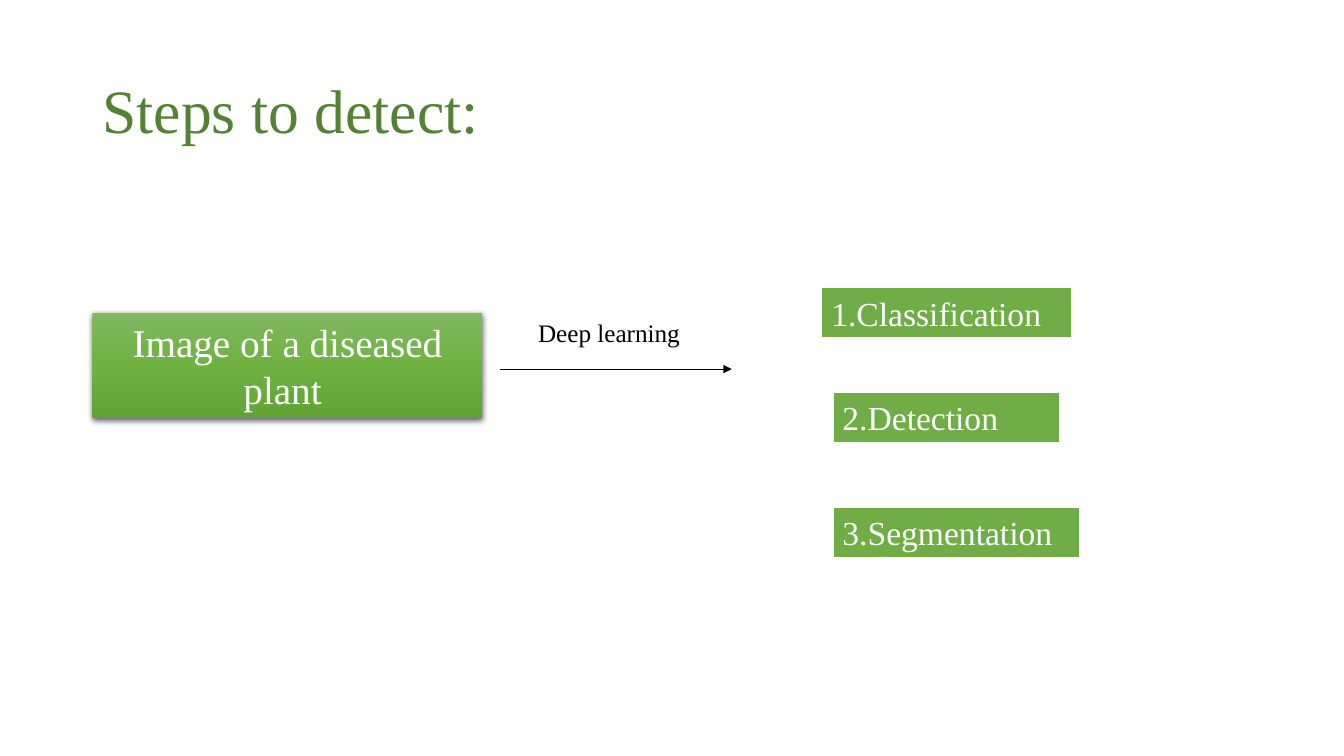
from lxml.etree import SubElement
from pptx import Presentation
from pptx.dml.color import RGBColor
from pptx.enum.shapes import MSO_CONNECTOR, MSO_SHAPE
from pptx.enum.text import MSO_ANCHOR, MSO_AUTO_SIZE, PP_ALIGN
from pptx.oxml.ns import qn
from pptx.util import Cm, Pt

FONT = "Times New Roman"
COLOURS = {
    "title": "548235",
    "step": "70AD47",
    "top": "81B861",
    "middle": "6FB242",
    "bottom": "62A336",
    "white": "FFFFFF",
    "black": "000000",
}


def colour(name):
    return RGBColor.from_string(COLOURS[name])


def write(shape, text, size, colour_name, align=PP_ALIGN.LEFT):
    frame = shape.text_frame
    frame.text = text
    frame.word_wrap = True
    para = frame.paragraphs[0]
    para.alignment = align
    font = para.runs[0].font
    font.name, font.size = FONT, Pt(size)
    font.color.rgb = colour(colour_name)
    return frame


def add_box(page, box):
    shape = page.shapes.add_shape(MSO_SHAPE.RECTANGLE, *map(Cm, box))
    shape.shadow.inherit = False
    shape.text_frame.vertical_anchor = MSO_ANCHOR.MIDDLE
    return shape


def add_title(page, box):
    title = page.shapes.title
    title.left, title.top, title.width, title.height = map(Cm, box)
    frame = write(title, "Steps to detect:", 44, "title")
    frame.auto_size = MSO_AUTO_SIZE.NONE
    frame.vertical_anchor = MSO_ANCHOR.MIDDLE
    frame.paragraphs[0].line_spacing = 0.9


def add_input(page, box):
    shape = add_box(page, box)
    shape.line.fill.background()
    write(shape, "Image of a diseased plant ", 28, "white", PP_ALIGN.CENTER)

    # Three-stop gradient running downwards
    shape.fill.gradient()
    shape.fill.gradient_angle = 270
    properties = shape.element.spPr
    stops = properties.find(".//" + qn("a:gsLst"))
    for stop in list(stops):
        stops.remove(stop)
    for position, name in ((0, "top"), (50, "middle"), (100, "bottom")):
        stop = SubElement(stops, qn("a:gs"), pos=str(position * 1000))
        SubElement(stop, qn("a:srgbClr"), val=COLOURS[name])

    # Soft shadow below the box
    shadow = SubElement(
        properties.find(qn("a:effectLst")), qn("a:outerShdw"),
        blurRad=str(Pt(4.5)), dist=str(Pt(1.5)), dir="5400000",
        algn="ctr", rotWithShape="0")
    tint = SubElement(shadow, qn("a:srgbClr"), val=COLOURS["black"])
    SubElement(tint, qn("a:alpha"), val="63000")


def add_method(page, box):
    left, top, width, height = box
    # Label above the arrow
    label = page.shapes.add_textbox(Cm(left + 0.71), Cm(top), Cm(4.42), Cm(1.02))
    write(label, "Deep learning", 18, "black")

    # Arrow along the bottom of the region
    arrow = page.shapes.add_connector(
        MSO_CONNECTOR.STRAIGHT, Cm(left), Cm(top + height),
        Cm(left + width), Cm(top + height))
    arrow.line.color.rgb = colour("black")
    arrow.line.width = Pt(0.5)
    SubElement(arrow.line._get_or_add_ln(), qn("a:tailEnd"), type="triangle")
    SubElement(arrow.element.spPr, qn("a:effectLst"))


def add_step(page, text, box):
    shape = add_box(page, box)
    shape.fill.solid()
    shape.fill.fore_color.rgb = colour("step")
    shape.line.color.rgb = colour("white")
    shape.line.width = Pt(1.5)
    write(shape, text, 24, "white")


def add_steps(page, left, top):
    steps = (
        ("1.Classification", 0, 0, 6.32),
        ("2.Detection", 0.28, 2.64, 5.74),
        ("3.Segmentation", 0.28, 5.54, 6.25),
    )
    for text, indent, drop, width in steps:
        add_step(page, text, (left + indent, top + drop, width, 1.28))


def main():
    deck = Presentation()
    deck.slide_width, deck.slide_height = Cm(33.87), Cm(19.05)
    page = deck.slides.add_slide(deck.slide_layouts[5])
    add_title(page, (2.33, 1.01, 29.21, 3.68))
    add_input(page, (2.33, 7.88, 9.83, 2.65))
    add_method(page, (12.6, 7.88, 5.84, 1.42))
    add_steps(page, 20.7, 7.24)
    deck.save("out.pptx")


if __name__ == "__main__":
    main()
